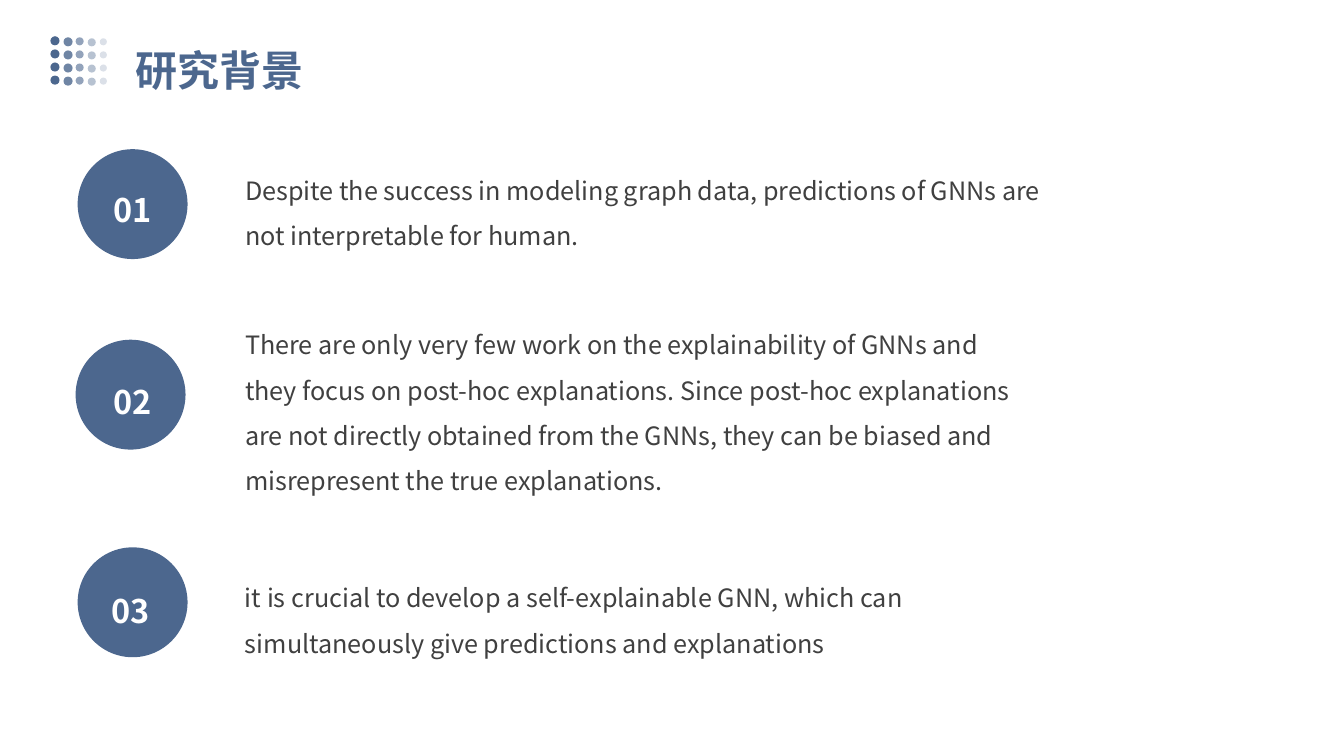
"""Build the research background slide with three numbered points."""
from lxml import etree
from pptx import Presentation
from pptx.dml.color import RGBColor
from pptx.enum.shapes import MSO_SHAPE
from pptx.enum.text import MSO_ANCHOR, MSO_AUTO_SIZE, PP_ALIGN
from pptx.oxml.ns import qn
from pptx.util import Pt

PX = 9144
FONT = "Noto Sans CJK SC"
COLORS = {"blue": "4C678E", "text": "404040", "white": "FFFFFF"}
OVAL = MSO_SHAPE.OVAL
TOP = MSO_ANCHOR.TOP
GROW = MSO_AUTO_SIZE.SHAPE_TO_FIT_TEXT
LEFT, CENTER = PP_ALIGN.LEFT, PP_ALIGN.CENTER


def add_circle(shapes, left, top, size, opacity=100):
    sp = shapes.add_shape(OVAL, left * PX, top * PX, size * PX, size * PX)
    sp.shadow.inherit = False
    sp.fill.solid()
    sp.fill.fore_color.rgb = RGBColor.from_string(COLORS["blue"])
    sp.line.fill.background()
    if opacity < 100:
        color = sp.fill._xPr.find(qn("a:solidFill"))[0]
        etree.SubElement(color, qn("a:alpha")).set("val", str(opacity * 1000))


def write_text(sp, lines, size, color, spacing, align=LEFT, bold=False):
    tf = sp.text_frame
    tf.word_wrap = True
    tf.auto_size = GROW
    tf.vertical_anchor = TOP
    tf.margin_left = tf.margin_top = tf.margin_bottom = 14 * PX
    tf.margin_right = 6 * PX
    for i, line in enumerate(lines):
        p = tf.add_paragraph() if i else tf.paragraphs[0]
        p.alignment = align
        p.line_spacing = spacing
        r = p.add_run()
        r.text = line
        r.font.size = Pt(size)
        r.font.bold = bold
        r.font.name = FONT
        r.font.color.rgb = RGBColor.from_string(COLORS[color])
        etree.SubElement(r.font._element, qn("a:ea")).set("typeface", FONT)


prs = Presentation()
prs.slide_width, prs.slide_height = 1333 * PX, 750 * PX
slide = prs.slides.add_slide(prs.slide_layouts[5])

title = slide.shapes.title
title.left, title.top, title.width, title.height = 120 * PX, 10 * PX, 1094 * PX, 90 * PX
write_text(title, ["研究背景"], 30, "blue", 1.4, bold=True)

dots = slide.shapes.add_group_shape()
dot_columns = [(50, 36, 9, 100), (63, 37, 9, 80), (75, 37, 8, 60), (87, 38, 8, 40), (99, 38, 7, 20)]
for row in range(4):
    for left, top, size, opacity in dot_columns:
        add_circle(dots.shapes, left, top + 13 * row, size, opacity)

points = [
    ("01", (77, 148), (75, 167), (145, 825, 113), [
        "Despite the success in modeling graph data, predictions of GNNs are not interpretable for human.",
    ]),
    ("02", (75, 337), (75, 357), (298, 848, 204), [
        "There are only very few work on the explainability of GNNs and",
        "they focus on post-hoc explanations. Since post-hoc explanations",
        "are not directly obtained from the GNNs, they can be biased and misrepresent the true explanations.",
    ]),
    ("03", (77, 543), (73, 565), (549, 804, 113), [
        "it is crucial to develop a self-explainable GNN, which can simultaneously give predictions and explanations",
    ]),
]
for number, circle, label, (top, width, height), lines in points:
    add_circle(slide.shapes, *circle, 109)
    sp = slide.shapes.add_textbox(label[0] * PX, label[1] * PX, 105 * PX, 75 * PX)
    write_text(sp, [number], 23.2, "white", 1.2, CENTER, True)
    sp = slide.shapes.add_textbox(229 * PX, top * PX, width * PX, height * PX)
    write_text(sp, lines, 18, "text", 1.5)

prs.save("out.pptx")
